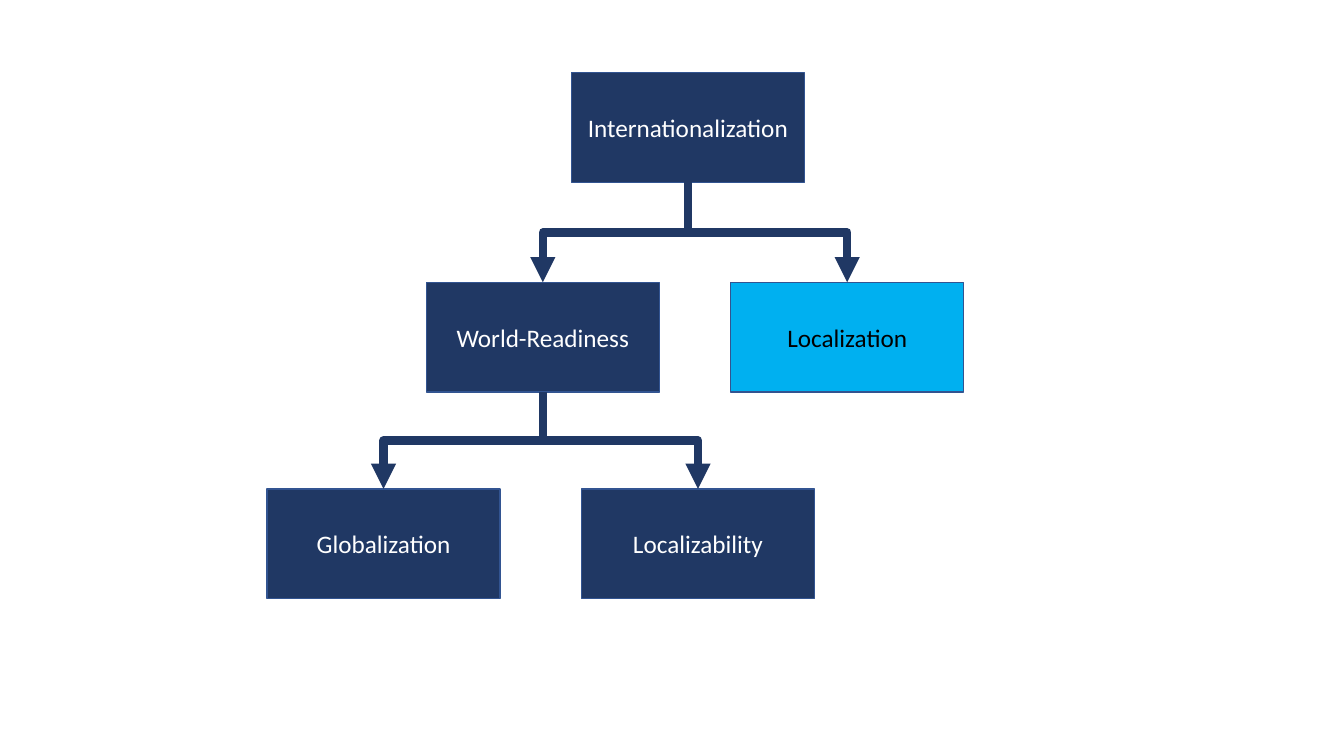
from lxml.etree import SubElement
from pptx import Presentation
from pptx.dml.color import RGBColor
from pptx.enum.shapes import MSO_CONNECTOR, MSO_SHAPE
from pptx.enum.text import MSO_ANCHOR, PP_ALIGN
from pptx.oxml.ns import qn
from pptx.util import Pt

NAVY, SKY, OUTLINE = "203864", "00B0F0", "325491"
WHITE, BLACK = "FFFFFF", "000000"
BOX_WIDTH, BOX_HEIGHT = Pt(166.3), Pt(78.5)
TOP_ROW, MIDDLE_ROW, BOTTOM_ROW = 0, 149.8, 297.4
BOXES = [
    ("Internationalization", 217.4, TOP_ROW, NAVY, WHITE),
    ("World-Readiness", 113.8, MIDDLE_ROW, NAVY, WHITE),
    ("Localization", 331.2, MIDDLE_ROW, SKY, BLACK),
    ("Globalization", 0, BOTTOM_ROW, NAVY, WHITE),
    ("Localizability", 224.6, BOTTOM_ROW, NAVY, WHITE),
]
BRANCHES = {
    "Internationalization": ["World-Readiness", "Localization"],
    "World-Readiness": ["Globalization", "Localizability"],
}


def color(value):
    return RGBColor.from_string(value)


def add_box(slide, label, left, top, fill, font_color):
    shape = slide.shapes.add_shape(
        MSO_SHAPE.RECTANGLE, left, top, BOX_WIDTH, BOX_HEIGHT)
    shape.shadow.inherit = False
    shape.fill.solid()
    shape.fill.fore_color.rgb = color(fill)
    shape.line.color.rgb = color(OUTLINE)
    shape.line.width = Pt(1)
    text_frame = shape.text_frame
    text_frame.text = label
    text_frame.vertical_anchor = MSO_ANCHOR.MIDDLE
    paragraph = text_frame.paragraphs[0]
    paragraph.alignment = PP_ALIGN.CENTER
    font = paragraph.runs[0].font
    font.name = "Calibri"
    font.size = Pt(18)
    font.color.rgb = color(font_color)
    return shape


def add_branch(slide, parent, child):
    connector = slide.shapes.add_connector(MSO_CONNECTOR.ELBOW, 0, 0, 0, 0)
    connector.begin_connect(parent, 2)
    connector.end_connect(child, 0)
    across, down = connector.width, connector.height
    center_x = connector.left + across // 2
    center_y = connector.top + down // 2
    connector.left, connector.top = center_x - down // 2, center_y - across // 2
    connector.width, connector.height = down, across

    goes_right = child.left > parent.left
    properties = connector._element.spPr
    transform = properties.find(qn("a:xfrm"))
    transform.set("rot", "16200000" if goes_right else "5400000")
    transform.set("flipH", "1" if goes_right else "0")
    connector.line.color.rgb = color(NAVY)
    connector.line.width = Pt(6)
    SubElement(properties.find(qn("a:ln")), qn("a:tailEnd"), type="triangle")
    SubElement(properties, qn("a:effectLst"))


def add_tree(slide, left, top):
    shapes = {
        label: add_box(slide, label, left + Pt(x), top + Pt(y), fill, font_color)
        for label, x, y, fill, font_color in BOXES
    }
    for parent, children in BRANCHES.items():
        for child in children:
            add_branch(slide, shapes[parent], shapes[child])


presentation = Presentation()
presentation.slide_width, presentation.slide_height = Pt(960), Pt(540)
slide = presentation.slides.add_slide(presentation.slide_layouts[6])
add_tree(slide, Pt(190.8), Pt(51.8))
presentation.save("out.pptx")
